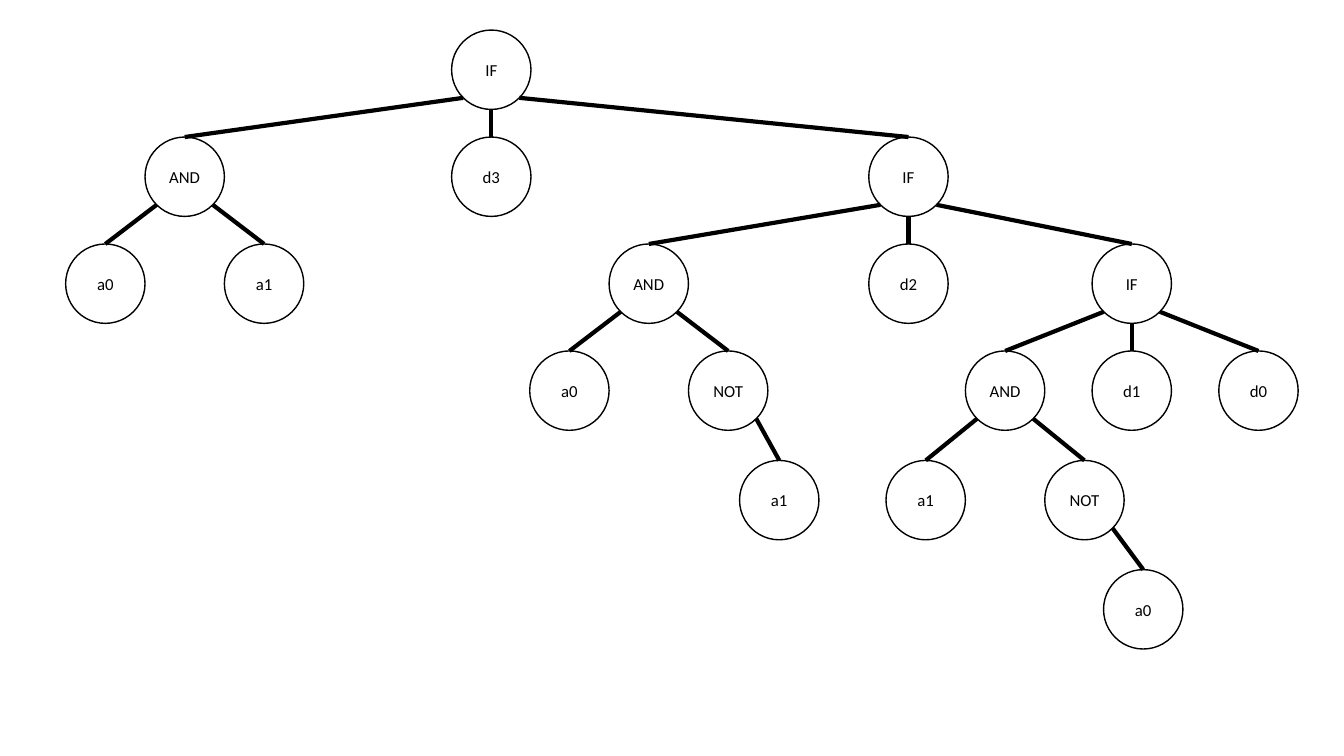
import math
from lxml import etree
from pptx import Presentation
from pptx.dml.color import RGBColor
from pptx.enum.shapes import MSO_CONNECTOR, MSO_SHAPE
from pptx.enum.text import MSO_ANCHOR, PP_ALIGN
from pptx.oxml.ns import qn
from pptx.util import Pt

OVAL = MSO_SHAPE.OVAL
STRAIGHT = MSO_CONNECTOR.STRAIGHT
MIDDLE = MSO_ANCHOR.MIDDLE
CENTER = PP_ALIGN.CENTER

COLORS = {"paper": "FFFFFF", "ink": "000000"}
FONT = "Calibri"
DIAMETER = 56.7
RADIUS = DIAMETER / 2
LEVEL_TOPS = [0, 76.4, 152.8, 229.2, 307.4, 385.4]
TOP_SITE, LOWER_LEFT_SITE, BOTTOM_SITE, LOWER_RIGHT_SITE = 0, 3, 4, 5


def node(label, shift=0, *children):
    return label, shift, children


def pair(shift, first, second):
    return node("AND", shift, first, second)


LEFT, RIGHT = -DIAMETER, DIAMETER

DECISION_TREE = node(
    "IF", 0,
    pair(-219, node("a0", LEFT), node("a1", RIGHT)),
    node("d3"),
    node(
        "IF", 298,
        pair(-185.5, node("a0", LEFT), node("NOT", RIGHT, node("a1", 36.5))),
        node("d2"),
        node(
            "IF", 159.5,
            pair(-90.5, node("a1", LEFT), node("NOT", RIGHT, node("a0", 42))),
            node("d1"),
            node("d0", 90.5),
        ),
    ),
)


def color(name):
    return RGBColor.from_string(COLORS[name])


def add_circle(page, left, top, label):
    circle = page.shapes.add_shape(OVAL, Pt(left), Pt(top), Pt(DIAMETER), Pt(DIAMETER))
    circle.shadow.inherit = False
    circle.fill.solid()
    circle.fill.fore_color.rgb = color("paper")
    circle.line.color.rgb = color("ink")
    circle.line.width = Pt(1)
    frame = circle.text_frame
    frame.word_wrap = False
    frame.vertical_anchor = MIDDLE
    frame.margin_left = frame.margin_right = 0
    paragraph = frame.paragraphs[0]
    paragraph.text = label
    paragraph.alignment = CENTER
    paragraph.font.name = FONT
    paragraph.font.size = Pt(12)
    paragraph.font.color.rgb = color("ink")
    return circle


def add_branch(page, parent, child, shift):
    diagonal = RADIUS * math.sqrt(0.5)
    if shift == 0:
        site, across, down = BOTTOM_SITE, 0, RADIUS
    elif shift < 0:
        site, across, down = LOWER_LEFT_SITE, -diagonal, diagonal
    else:
        site, across, down = LOWER_RIGHT_SITE, diagonal, diagonal
    start_x = parent.left + Pt(RADIUS + across)
    start_y = parent.top + Pt(RADIUS + down)
    branch = page.shapes.add_connector(
        STRAIGHT, start_x, start_y, child.left + Pt(RADIUS), child.top
    )
    start = branch._element.nvCxnSpPr.cNvCxnSpPr.get_or_add_stCxn()
    start.id, start.idx = parent.shape_id, site
    branch.end_connect(child, TOP_SITE)
    branch.line.color.rgb = color("ink")
    branch.line.width = Pt(3)
    etree.SubElement(branch._element.spPr, qn("a:effectLst"))


def add_tree(page, left, top, tree, level=0):
    label, _, children = tree
    parent = add_circle(page, left, top + LEVEL_TOPS[level], label)
    for subtree in children:
        shift = subtree[1]
        child = add_tree(page, left + shift, top, subtree, level + 1)
        add_branch(page, parent, child, shift)
    return parent


deck = Presentation()
deck.slide_width, deck.slide_height = Pt(960), Pt(540)
page = deck.slides.add_slide(deck.slide_layouts[6])
add_tree(page, 322.6, 21.5, DECISION_TREE)
deck.save("out.pptx")
